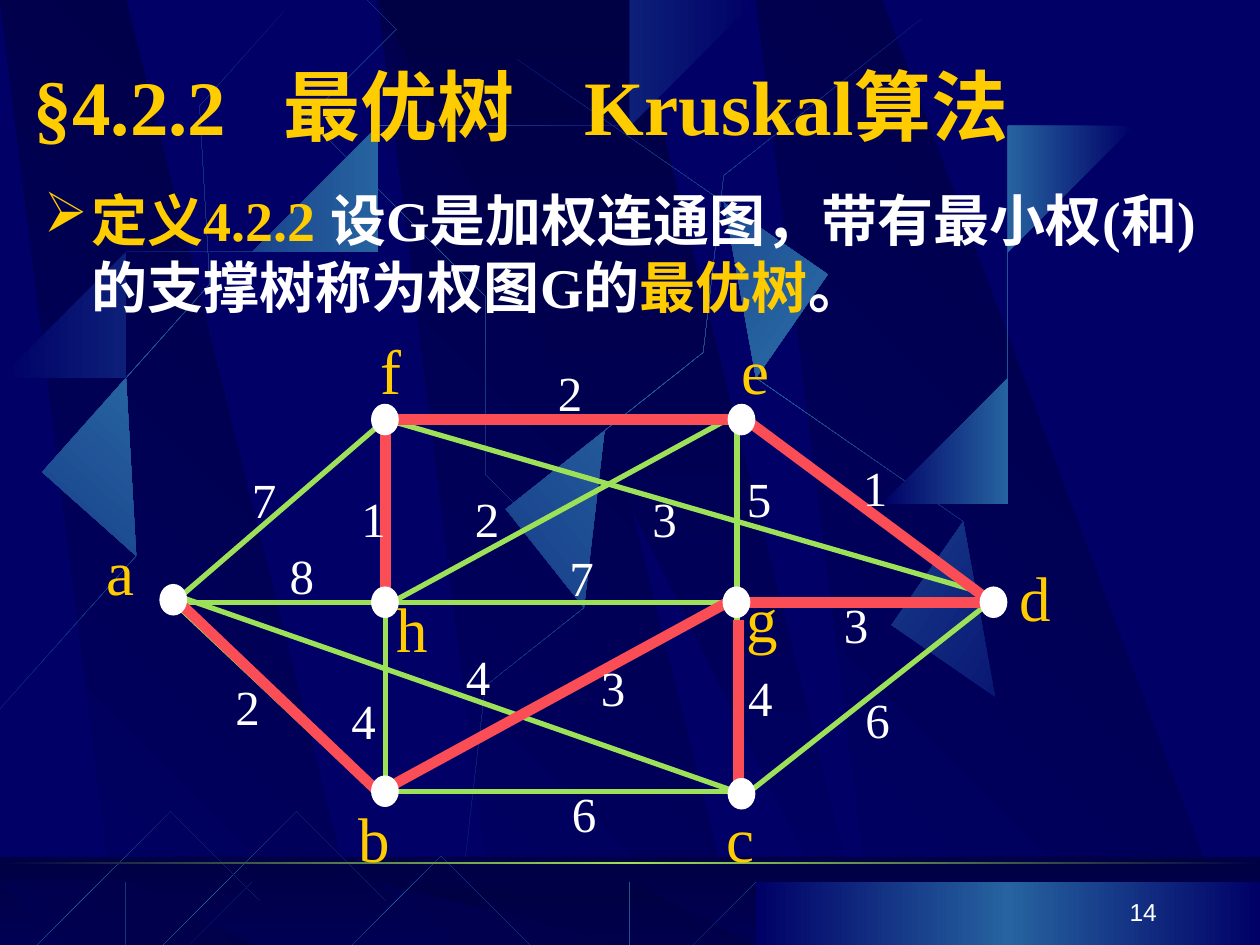
import math
import pptx
import pptx.util
import pptx.oxml
import pptx.oxml.ns
import pptx.dml.color
import pptx.enum.shapes
import pptx.enum.text
import lxml.etree

NIGHT, DEEP, STEEL, GREEN = "000066", "000044", "2663A0", "9CE157"
GOLD, WHITE, RED = "FFCC00", "FFFFFF", "FB4D55"
LATIN, CHINESE = "Times New Roman", "Noto Sans CJK SC"
NS = pptx.oxml.ns.nsdecls("a")
rgb = pptx.dml.color.RGBColor.from_string
shape_type = pptx.enum.shapes.MSO_SHAPE

deck = pptx.Presentation()
deck.slide_width, deck.slide_height = pptx.util.Inches(10), pptx.util.Inches(7.5)
page = deck.slides.add_slide(deck.slide_layouts[6])
page.background.fill.solid()
page.background.fill.fore_color.rgb = rgb(NIGHT)
cell = deck.slide_width // 10  # square grid, 10 columns by 7.5 rows


def shade(shape, colours, angle=0):
    """Fill a shape with evenly spaced gradient stops and no outline."""
    stops = "".join(
        f'<a:gs pos="{100000 * i // (len(colours) - 1)}"><a:srgbClr val="{c}"/></a:gs>'
        for i, c in enumerate(colours))
    shape._element.spPr.insert(2, pptx.oxml.parse_xml(
        f'<a:gradFill {NS} rotWithShape="1"><a:gsLst>{stops}</a:gsLst>'
        f'<a:lin ang="{angle * 60000}" scaled="0"/></a:gradFill>'))
    shape.line.fill.background()
    shape.shadow.inherit = False


def write(left, top, width, height, runs, size, font=LATIN, extras=(), wrap=False):
    """Add a text box of (text, colour) runs and return it."""
    box = page.shapes.add_textbox(*(round(v * cell) for v in (left, top, width, height)))
    box.text_frame.word_wrap = wrap
    para = box.text_frame.paragraphs[0]
    for extra in extras:
        para._p.get_or_add_pPr().append(pptx.oxml.parse_xml(extra))
    para.font.name, para.font.size, para.font.bold = font, pptx.util.Pt(size), wrap
    para.font.color.rgb = rgb(runs[0][1])
    defaults = para._p.pPr.find(pptx.oxml.ns.qn("a:defRPr"))
    lxml.etree.SubElement(defaults, pptx.oxml.ns.qn("a:ea"), typeface=CHINESE)
    for text, colour in runs:
        span = para.add_run()
        span.text = text
        if len(runs) > 1:
            span.font.color.rgb = rgb(colour)
    return box


# Backdrop streaks: rotation, pivot, then the two curved edges
sky_streaks = [
    (0, (0, 0), [(.2, 2.75), (2.84, 1.34), (5.24, .59), (6.26, .18)],
     [(6.29, .24), (5.28, .69), (2.54, 1.51), (.23, 2.85)]),
    (45, (3.62, 2.22), [(4.6, 4.36), (3.91, 2.34), (3.02, .77), (2.69, .05)],
     [(2.65, .07), (2.95, .79), (3.98, 2.58), (4.54, 4.39)]),
    (0, (0, 0), [(.14, 2.67), (2.78, 1.25), (5.18, .51), (6.2, .1)],
     [(6.23, .16), (5.22, .61), (2.48, 1.43), (.17, 2.77)]),
    (311.7, (1.33, 3.15), [(.23, 6.25), (.93, 3.34), (1.97, 1.05), (2.35, .02)],
     [(2.41, .04), (2.07, 1.09), (.86, 3.68), (.32, 6.29)]),
    (321.6, (5.43, 3.1), [(3.85, 6.14), (4.98, 3.2), (6.38, 1.02), (6.92, .01)],
     [(6.98, .04), (6.49, 1.08), (4.86, 3.55), (3.94, 6.21)]),
    (34.7, (6.27, 2.85), [(8.06, 5.6), (6.7, 2.93), (5.16, .95), (4.55, .04)],
     [(4.49, .07), (5.07, 1.01), (6.85, 3.25), (7.99, 5.67)]),
    (0, (0, 0), [(7.38, 3.94), (8.14, 1.73), (8.88, .66), (9.17, 0)],
     [(9.27, 0), (8.36, 1.45), (7.69, 3.22), (7.44, 3.97)]),
]
floor_streaks = [
    (0, (0, 0), [(6.27, 6.82), (5.37, 7.09), (4.77, 7.42), (4.48, 7.54)],
     [(4.53, 7.55), (4.9, 7.38), (5.71, 7), (6.28, 6.85)]),
]
for x, y in ((2.56, 7.53), (1.31, 7.53), (.02, 7.46)):
    floor_streaks.append((315, (x + .94, y - .35),
                          [(x + 1.86, y - .73), (x + .99, y - .48), (x + .31, y - .13), (x, y)],
                          [(x + .01, y + .02), (x + .32, y - .1), (x + 1.09, y - .5), (x + 1.88, y - .7)]))
for x, top, width in ((1, 6.8, 6.17), (.42, 6.8, 2.67), (5.27, 6.89, 2.31), (6.92, 6.8, 2.67), (6, 6.8, 4)):
    drop = 7.55 - top
    floor_streaks.append((0, (0, 0), *(
        [(x + width * u, top + drop * v) for u, v in edge] for edge in (
            [(1, .04), (.566, .57), (.172, .85), (.005, 1)],
            [(0, .99), (.165, .81), (.616, .51), (.995, 0)]))))

# Backdrop: sky, then floor, each with slanted panels under its streaks
slab = [(.86, 1), (3.02, 1), (.91, 0), (0, 0)]
wedge = [(0, 0), (3.25, 1), (3.61, 1), (1.8, 0)]
panels = [(2.83, slab, (NIGHT, DEEP), 315), (0, slab, (NIGHT, DEEP), 315),
          (6.5, slab, (NIGHT, DEEP), 315), (3.33, wedge, (DEEP, NIGHT), 90)]
floor_area = [round(v * cell) for v in (0, 6.8, 10, .7)]
for top, height, streaks in ((0, 7.52, sky_streaks), (6.88, .66, floor_streaks)):
    if top:
        floor = page.shapes.add_shape(shape_type.RECTANGLE, *floor_area)
        shade(floor, (DEEP, NIGHT), 90)
    for left, outline, colours, angle in panels:
        points = [(left + x, top + y * height) for x, y in outline]
        builder = page.shapes.build_freeform(*points[0], scale=cell)
        builder.add_line_segments(points[1:])
        shade(builder.convert_to_shape(), colours, angle)
    if top:
        veil = page.shapes.add_shape(shape_type.RECTANGLE, *floor_area)
        veil.fill.solid()
        veil.fill.fore_color.rgb = rgb(DEEP)
        tint = veil._element.spPr.find(".//" + pptx.oxml.ns.qn("a:srgbClr"))
        lxml.etree.SubElement(tint, pptx.oxml.ns.qn("a:alpha"), val="50000")
        veil.line.fill.background()
        veil.shadow.inherit = False
    for rotation, (px, py), *edges in streaks:
        cos, sin = math.cos(math.radians(rotation)), math.sin(math.radians(rotation))
        points = []
        for edge in edges:
            for t in (step / 12 for step in range(13)):
                weights = ((1 - t) ** 3, 3 * t * (1 - t) ** 2, 3 * t * t * (1 - t), t ** 3)
                x, y = (sum(w * p[axis] for w, p in zip(weights, edge)) for axis in (0, 1))
                dx, dy = x - px, y - py
                points.append((px + dx * cos + dy * sin, py - dx * sin + dy * cos))
        builder = page.shapes.build_freeform(*points[0], scale=cell)
        builder.add_line_segments(points[1:])
        streak = builder.convert_to_shape()
        streak.rotation = rotation
        shade(streak, (NIGHT, STEEL, NIGHT))
horizon = page.shapes.add_shape(shape_type.RECTANGLE, *(round(v * cell) for v in (0, 6.84, 10, .02)))
shade(horizon, (DEEP, GREEN, DEEP))

# Title and definition
tabs = "".join(f'<a:tab pos="{round(x * cell)}" algn="l"/>' for x in (1.98, 4.37))
title = write(.17, .42, 8.5, .83, [("§4.2.2\t最优树\tKruskal算法", GOLD)], 44,
              extras=[f"<a:tabLst {NS}>{tabs}</a:tabLst>"], wrap=True)
title.text_frame.vertical_anchor = pptx.enum.text.MSO_ANCHOR.MIDDLE
definition = write(
    .25, 1.42, 9.58, 5.58,
    [("定义4.2.2 ", GOLD), ("设G是加权连通图，带有最小权(和)的支撑树称为权图G的", WHITE),
     ("最优树", GOLD), ("。", WHITE)], 32,
    extras=[f'<a:buClr {NS}><a:srgbClr val="{GOLD}"/></a:buClr>',
            f'<a:buChar {NS} char="➢"/>'], wrap=True)
indents = definition.text_frame.paragraphs[0]._p.pPr
indents.set("marL", str(round(.38 * cell)))
indents.set("indent", str(round(-.38 * cell)))

# Graph edges: all edges in green, then the tree in red
green_edges = [
    (3, 6.28, 5.9, 4.71), (3, 4.84, 5.9, 3.26), (5.83, 6.28, 1.38, 4.72), (7.82, 4.71, 3.1, 3.34),
    (3.06, 6.28, 3.06, 3.38), (5.85, 6.28, 5.85, 3.38), (1.38, 4.78, 3.06, 6.36),
    (3.06, 6.28, 5.89, 6.28), (5.89, 6.33, 7.88, 4.76), (1.38, 4.78, 7.88, 4.78),
    (1.38, 4.78, 3.06, 3.33), (3.06, 3.33, 5.89, 3.33), (5.89, 3.33, 7.88, 4.78)]
tree_edges = [
    (3.06, 3.42, 3.06, 4.75), (5.92, 3.33, 7.83, 4.75), (3.08, 3.33, 5.83, 3.33),
    (5.83, 4.75, 3.08, 6.25), (5.89, 4.78, 7.89, 4.78), (1.4, 4.76, 3.07, 6.35),
    (5.86, 4.92, 5.86, 6.25)]
for edges, colour, width in ((green_edges, GREEN, 3), (tree_edges, RED, 6)):
    for ends in edges:
        edge = page.shapes.add_connector(
            pptx.enum.shapes.MSO_CONNECTOR.STRAIGHT, *(round(v * cell) for v in ends))
        edge.line.color.rgb = rgb(colour)
        edge.line.width = pptx.util.Pt(width)
        lxml.etree.SubElement(edge._element.spPr, pptx.oxml.ns.qn("a:effectLst"))

# Edge weights
for weight, left, top in [
        ("7", 1.9, 3.68), ("6", 4.44, 6.17), ("2", 1.77, 5.32), ("8", 2.2, 4.28), ("1", 2.77, 3.83),
        ("4", 2.69, 5.43), ("4", 3.6, 5.08), ("3", 4.67, 5.17), ("4", 5.84, 5.25), ("7", 4.42, 4.3),
        ("2", 3.67, 3.83), ("3", 5.08, 3.83), ("5", 5.83, 3.67), ("6", 6.77, 5.42), ("3", 6.6, 4.67),
        ("2", 4.33, 2.83), ("1", 6.75, 3.58)]:
    write(left, top, .4, .57, [(weight, WHITE)], 28)

# Nodes: name, label position and width, dot position
for name, left, top, width, x, y in [
        ("a", .75, 4.18, .42, 1.27, 4.64), ("b", 2.75, 6.3, .45, 2.95, 6.16),
        ("c", 5.67, 6.3, .42, 5.78, 6.18), ("d", 7.99, 4.38, .45, 7.78, 4.66),
        ("e", 5.79, 2.58, .42, 5.78, 3.21), ("f", 2.92, 2.58, .37, 2.95, 3.21),
        ("g", 5.83, 4.55, .45, 5.74, 4.66), ("h", 3.05, 4.63, .45, 2.95, 4.66)]:
    write(left, top, width, .7, [(name, GOLD)], 36)
    dot = page.shapes.add_shape(shape_type.OVAL, *(round(v * cell) for v in (x, y, .21, .24)))
    dot.fill.solid()
    dot.fill.fore_color.rgb = dot.line.color.rgb = rgb(WHITE)
    dot.line.width = pptx.util.Pt(.75)
    dot.shadow.inherit = False

# Page number
number = write(7.2, 6.9, 2.08, .5, [("14", WHITE)], 14, font="Arial")
number.text_frame.word_wrap = True
number.text_frame.vertical_anchor = pptx.enum.text.MSO_ANCHOR.BOTTOM
number.text_frame.paragraphs[0].alignment = pptx.enum.text.PP_ALIGN.RIGHT

deck.save("out.pptx")
